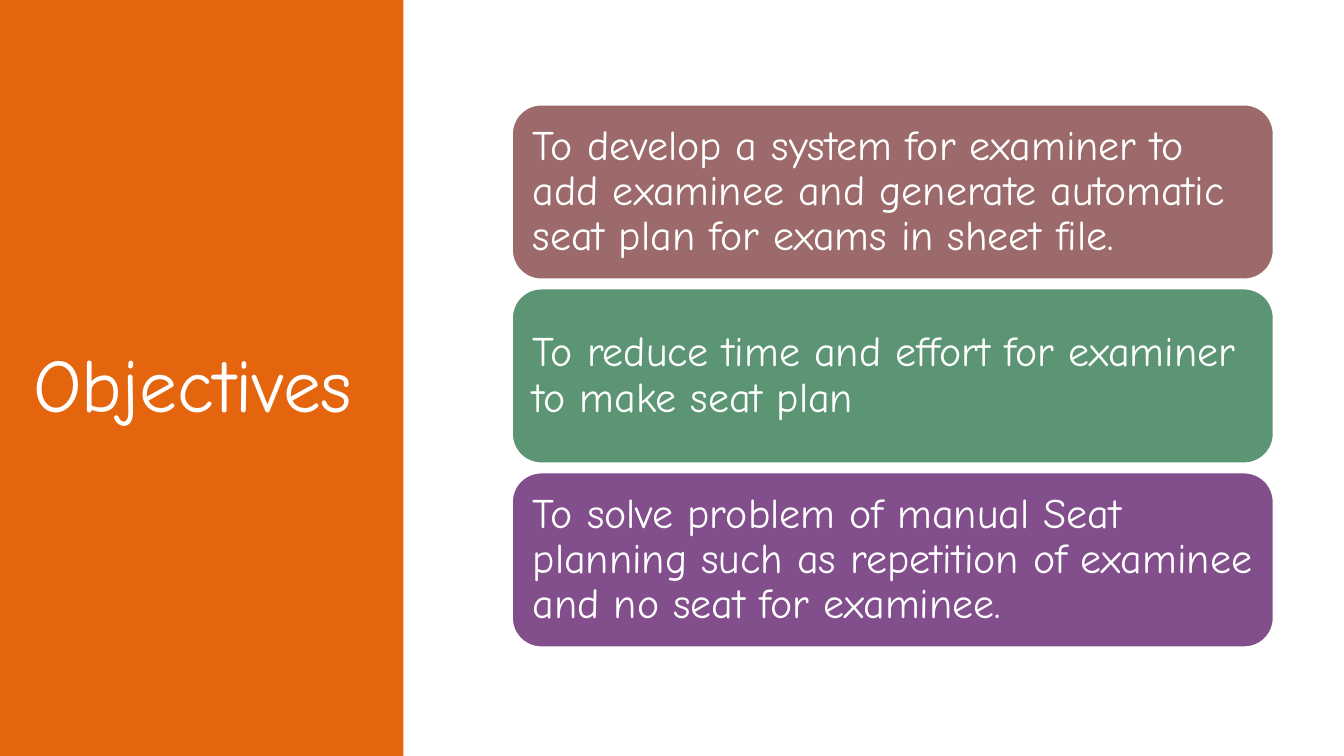
import pptx
import pptx.util
from pptx.dml.color import RGBColor
from pptx.enum.shapes import MSO_SHAPE
from pptx.enum.text import MSO_ANCHOR, PP_ALIGN
from pptx.util import Inches

FONT = "Comic Neue"
WHITE = RGBColor(0xFF, 0xFF, 0xFF)
ORANGE = RGBColor(0xE4, 0x65, 0x0E)
ROSE = RGBColor(0x9C, 0x6A, 0x6A)
GREEN = RGBColor(0x5B, 0x95, 0x74)
PURPLE = RGBColor(0x82, 0x4F, 0x8C)

OBJECTIVES = [
    ("To develop a system for examiner to add examinee and generate "
     "automatic seat plan for exams in sheet file.", ROSE),
    ("To reduce time and effort for examiner to make seat plan", GREEN),
    ("To solve problem of manual Seat planning such as repetition of "
     "examinee and no seat for examinee.", PURPLE),
]

# Wavy right edge of the panel, from top to bottom
PANEL_EDGE = [
    (4.46, 0), (4.46, 0.63), (4.46, 1.02), (4.46, 1.41), (4.46, 1.74),
    (4.46, 2.33), (4.47, 2.7), (4.45, 3.22), (4.45, 3.83), (4.47, 4.46),
    (4.46, 4.86), (4.45, 5.28), (4.45, 5.49), (4.47, 6), (4.46, 6.39),
    (4.46, 6.85), (4.47, 7.33), (4.46, 7.5),
]

CARD_LEFT, CARD_TOP = 5.08, 1.04
CARD_WIDTH, CARD_HEIGHT = 7.55, 1.73
CARD_PITCH = 1.825


def style_text(frame, text, size):
    frame.text = text
    frame.word_wrap = True
    frame.vertical_anchor = MSO_ANCHOR.MIDDLE
    paragraph = frame.paragraphs[0]
    paragraph.alignment = PP_ALIGN.LEFT
    font = paragraph.runs[0].font
    font.name = FONT
    font.size = pptx.util.Pt(size)
    font.color.rgb = WHITE
    return paragraph


def fill_shape(shape, color):
    shape.shadow.inherit = False
    shape.fill.solid()
    shape.fill.fore_color.rgb = color


def add_panel(slide):
    outline = slide.shapes.build_freeform(0, 0, scale=Inches(1))
    outline.add_line_segments(PANEL_EDGE + [(0, 7.5)], close=True)
    panel = outline.convert_to_shape()
    fill_shape(panel, ORANGE)
    panel.line.fill.background()


def place_title(slide, text):
    title = slide.shapes.title
    title.left, title.top = Inches(0.23), Inches(0.74)
    title.width, title.height = Inches(3.86), Inches(6.11)
    style_text(title.text_frame, text, 54)
    # Bring the title in front of the panel
    title.element.getparent().append(title.element)


def add_card(slide, top, text, color):
    card = slide.shapes.add_shape(
        MSO_SHAPE.ROUNDED_RECTANGLE, Inches(CARD_LEFT), Inches(top),
        Inches(CARD_WIDTH), Inches(CARD_HEIGHT))
    fill_shape(card, color)
    card.line.color.rgb = WHITE
    card.line.width = pptx.util.Pt(1)
    frame = card.text_frame
    frame.margin_left = frame.margin_right = Inches(0.12)
    frame.margin_top = frame.margin_bottom = Inches(0.12)
    paragraph = style_text(frame, text, 30)
    paragraph.line_spacing = 0.9


def main():
    presentation = pptx.Presentation()
    presentation.slide_width = Inches(13.33)
    presentation.slide_height = Inches(7.5)
    slide = presentation.slides.add_slide(presentation.slide_layouts[5])
    slide.background.fill.solid()
    slide.background.fill.fore_color.rgb = WHITE

    # Left panel with the title
    add_panel(slide)
    place_title(slide, "Objectives")

    # Stack of objectives
    for row, (text, color) in enumerate(OBJECTIVES):
        add_card(slide, CARD_TOP + row * CARD_PITCH, text, color)

    presentation.save("out.pptx")


if __name__ == "__main__":
    main()
